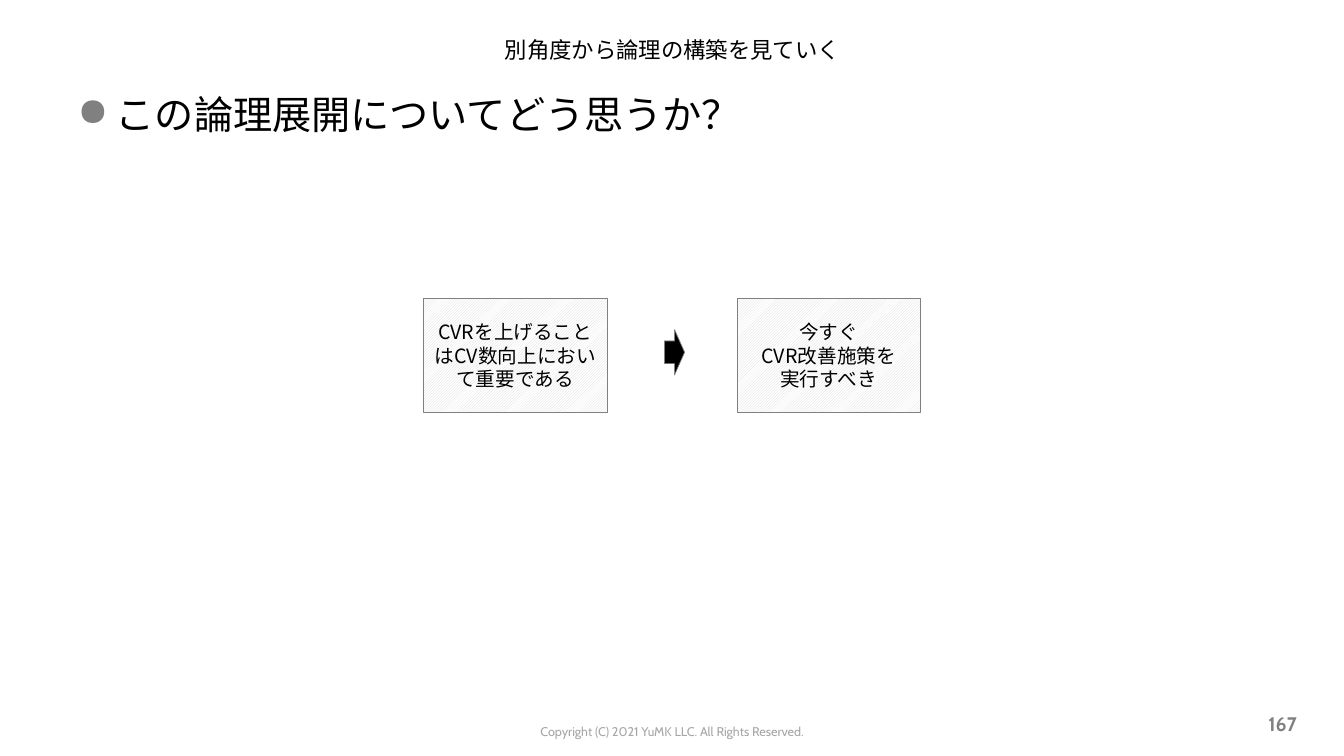
from lxml import etree
from pptx import Presentation
from pptx.dml.color import RGBColor
from pptx.enum.dml import MSO_PATTERN
from pptx.enum.shapes import MSO_SHAPE
from pptx.enum.text import MSO_ANCHOR, PP_ALIGN
from pptx.oxml.ns import qn
from pptx.util import Inches, Pt

RECTANGLE = MSO_SHAPE.RECTANGLE
RIGHT_ARROW = MSO_SHAPE.RIGHT_ARROW
HATCH = MSO_PATTERN.LIGHT_UPWARD_DIAGONAL
TOP, MIDDLE = MSO_ANCHOR.TOP, MSO_ANCHOR.MIDDLE
LEFT, CENTER, RIGHT = PP_ALIGN.LEFT, PP_ALIGN.CENTER, PP_ALIGN.RIGHT

BLACK = RGBColor(0x00, 0x00, 0x00)
WHITE = RGBColor(0xFF, 0xFF, 0xFF)
GRAY = RGBColor(0x80, 0x80, 0x80)
FOOTER_GRAY = RGBColor(0xA6, 0xA6, 0xA6)
HATCH_GRAY = RGBColor(0xD9, 0xD9, 0xD9)

JAPANESE_FONT = "Noto Sans CJK JP"
LATIN_FONT = "Cabin"

STEPS = [
    ["CVRを上げることはCV数向上において重要である"],
    ["今すぐ", "CVR改善施策を", "実行すべき"],
]
STEP_LEFT, STEP_PITCH = 4.2, 3.11


def add_bullet(paragraph):
    properties = paragraph._p.get_or_add_pPr()
    properties.set("marL", str(Inches(0.38)))
    properties.set("indent", str(Inches(-0.38)))
    color = etree.SubElement(properties, qn("a:buClr"))
    etree.SubElement(color, qn("a:srgbClr"), val=str(GRAY))
    etree.SubElement(properties, qn("a:buChar"), char="●")


def write_text(frame, lines, size, align=CENTER, anchor=MIDDLE, color=BLACK,
               font_name=JAPANESE_FONT, bold=False, bullet=False):
    frame.word_wrap = True
    frame.vertical_anchor = anchor
    for number, line in enumerate(lines):
        paragraph = frame.add_paragraph() if number else frame.paragraphs[0]
        paragraph.text = line
        paragraph.alignment = align
        if bullet:
            add_bullet(paragraph)
        font = paragraph.font
        font.size = Pt(size)
        font.bold = bold
        font.color.rgb = color
        font.name = font_name
        defaults = paragraph._p.pPr.find(qn("a:defRPr"))
        etree.SubElement(defaults, qn("a:ea"), typeface=font_name)


def add_text(page, left, top, width, height, line, size, **style):
    box = page.shapes.add_textbox(
        Inches(left), Inches(top), Inches(width), Inches(height))
    write_text(box.text_frame, [line], size, **style)


def add_outlined_shape(page, kind, left, top, width, height):
    shape = page.shapes.add_shape(
        kind, Inches(left), Inches(top), Inches(width), Inches(height))
    shape.shadow.inherit = False
    shape.line.color.rgb = GRAY
    shape.line.width = Pt(0.5)
    return shape


def add_step(page, left, lines):
    step = add_outlined_shape(page, RECTANGLE, left, 2.96, 1.82, 1.13)
    step.fill.patterned()
    step.fill.pattern = HATCH
    step.fill.fore_color.rgb = HATCH_GRAY
    step.fill.back_color.rgb = WHITE
    write_text(step.text_frame, lines, 14)


def add_arrow(page):
    arrow = add_outlined_shape(page, RIGHT_ARROW, 6.59, 3.27, 0.2, 0.45)
    arrow.fill.solid()
    arrow.fill.fore_color.rgb = BLACK


def main():
    deck = Presentation()
    deck.slide_width = Inches(13.33)
    deck.slide_height = Inches(7.5)
    page = deck.slides.add_slide(deck.slide_layouts[6])

    add_text(page, 4.2, 7.13, 4.93, 0.25,
             "Copyright (C) 2021 YuMK LLC. All Rights Reserved.", 9,
             anchor=TOP, color=FOOTER_GRAY, font_name=LATIN_FONT)
    add_text(page, 0.67, 0.22, 12, 0.54, "別角度から論理の構築を見ていく", 16)
    add_text(page, 0.67, 0.85, 12, 5.79, "この論理展開についてどう思うか？", 28,
             align=LEFT, anchor=TOP, bullet=True)
    add_text(page, 9.85, 6.98, 3.11, 0.4, "167", 14, align=RIGHT,
             color=GRAY, font_name=LATIN_FONT, bold=True)

    for number, lines in enumerate(STEPS):
        add_step(page, STEP_LEFT + number * STEP_PITCH, lines)
    add_arrow(page)

    deck.save("out.pptx")


if __name__ == "__main__":
    main()
